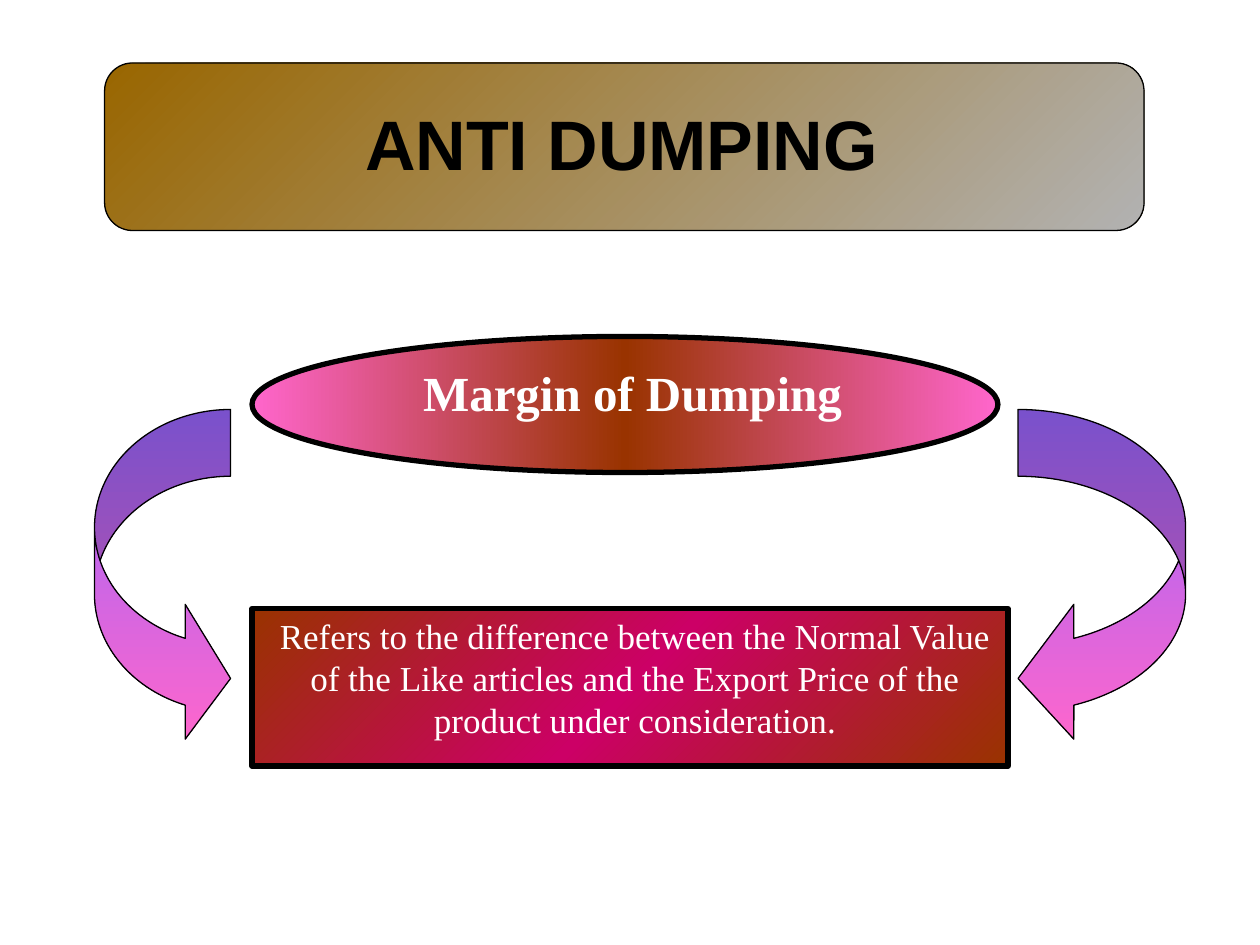
import copy

import pptx
import pptx.dml.color
import pptx.enum.shapes
import pptx.enum.text
import pptx.oxml.ns
import pptx.util

SHAPE = pptx.enum.shapes.MSO_SHAPE
ALIGN = pptx.enum.text.PP_ALIGN
Inches = pptx.util.Inches

COLORS = {
    "black": "000000", "white": "FFFFFF", "bronze": "996600", "silver": "B2B2B2",
    "pink": "FF66CC", "rust": "993300", "crimson": "CC0066", "violet": "9966FF",
}
ARROW_TOP, ARROW_HEIGHT = 3.25, 2.67
ARROW_BAND, ARROW_HEAD = 0.53, 1.07

PANELS = [
    (SHAPE.ROUNDED_RECTANGLE, (0.83, 0.5, 8.25, 1.33), ("bronze", "silver"), 45, 0.75),
    (SHAPE.OVAL, (2, 2.67, 5.92, 1.08), ("pink", "rust", "pink"), 0, 3),
    (SHAPE.RECTANGLE, (2, 4.83, 6, 1.25), ("rust", "crimson", "rust"), 45, 3),
]
ARROWS = [
    (SHAPE.CURVED_RIGHT_ARROW, 0.75, 1.08),
    (SHAPE.CURVED_LEFT_ARROW, 8.08, 1.33),
]
TEXTS = [
    ("ANTI DUMPING", (2.8, 0.75, 4.48, 0.77), "Arial", 40, "black", True, False, ALIGN.LEFT),
    ("Margin of Dumping", (3.26, 2.83, 3.52, 0.57), "Times New Roman", 28, "white", True,
     False, ALIGN.LEFT),
    ("Refers to the difference between the Normal Value of the Like articles and the "
     "Export Price of the product under consideration.",
     (2, 4.83, 6.08, 1.1), "Times New Roman", 20, "white", False, True, ALIGN.CENTER),
]


def rgb(name):
    return pptx.dml.color.RGBColor.from_string(COLORS[name])


def add_panel(slide, kind, place, names, angle, line_width):
    shape = slide.shapes.add_shape(kind, *map(Inches, place))
    shape.shadow.inherit = False
    shape.line.color.rgb = rgb("black")
    shape.line.width = pptx.util.Pt(line_width)
    shape.fill.gradient()
    shape.fill.gradient_angle = (360 - angle) % 360
    stop_list = next(shape._element.iter(pptx.oxml.ns.qn("a:gsLst")))
    for _ in names[2:]:
        stop_list.append(copy.deepcopy(stop_list[0]))
    for index, (stop, name) in enumerate(zip(shape.fill.gradient_stops, names)):
        stop.position = index / (len(names) - 1)
        stop.color.rgb = rgb(name)
    return shape


def add_arrow(slide, kind, left, width):
    place = (left, ARROW_TOP, width, ARROW_HEIGHT)
    arrow = add_panel(slide, kind, place, ("violet", "pink"), 90, 0.75)
    for index, ratio in enumerate((ARROW_BAND / width, ARROW_HEAD / width, 1 / 3)):
        arrow.adjustments[index] = ratio


def add_text(slide, text, place, font, size, color, bold, wrap, align):
    box = slide.shapes.add_textbox(*map(Inches, place))
    box.text_frame.word_wrap = wrap
    box.text_frame.auto_size = pptx.enum.text.MSO_AUTO_SIZE.SHAPE_TO_FIT_TEXT
    para = box.text_frame.paragraphs[0]
    para.alignment = align
    span = para.add_run()
    span.text = text
    span.font.name = font
    span.font.size = pptx.util.Pt(size)
    span.font.bold = bold
    span.font.color.rgb = rgb(color)


def main():
    deck = pptx.Presentation()
    deck.slide_width, deck.slide_height = Inches(10), Inches(7.5)
    slide = deck.slides.add_slide(deck.slide_layouts[6])
    for panel in PANELS:
        add_panel(slide, *panel)
    for arrow in ARROWS:
        add_arrow(slide, *arrow)
    for text in TEXTS:
        add_text(slide, *text)
    deck.save("out.pptx")


if __name__ == "__main__":
    main()
